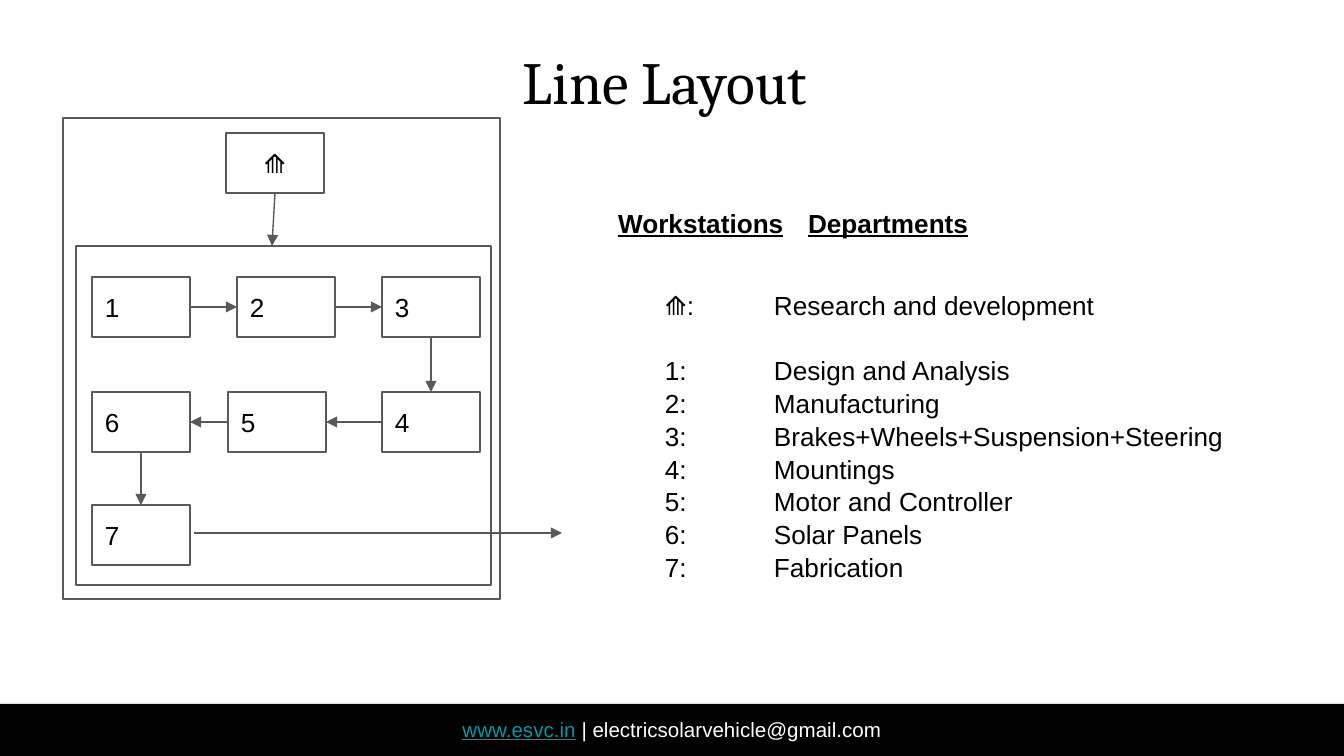
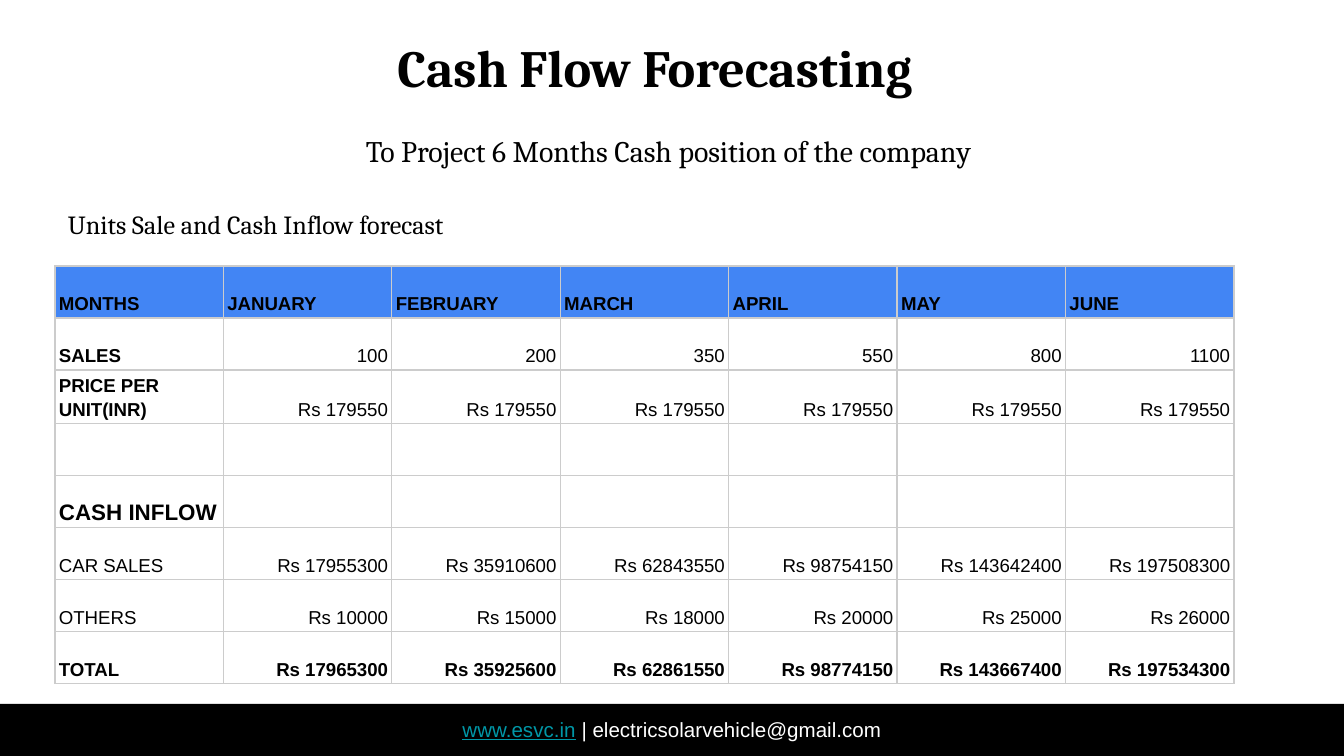
"""Build the line layout and cash flow slides of the solar vehicle deck."""
from dataclasses import dataclass

from lxml.etree import SubElement
from pptx import Presentation
from pptx.dml.color import RGBColor
from pptx.enum.shapes import MSO_CONNECTOR as Connector, MSO_SHAPE as Preset
from pptx.enum.text import MSO_ANCHOR as Anchor, MSO_AUTO_SIZE as AutoSize, PP_ALIGN as Align
from pptx.oxml.ns import qn
from pptx.util import Emu, Pt


@dataclass(frozen=True)
class Theme:
    """Colours, fonts and type sizes."""
    ink: str = "000000"
    paper: str = "FFFFFF"
    outline: str = "595959"
    grid: str = "CCCCCC"
    header: str = "4285F4"
    link: str = "0097A7"
    sans: str = "Arial"
    serif: str = "Cambria"
    title: int = 32
    title_small: int = 28
    subtitle: int = 16
    body: int = 14
    section: int = 12
    footer: int = 11
    cell: int = 10
    line: float = 0.75


THEME = Theme()
SLIDE_WIDTH, SLIDE_HEIGHT = 1344, 756
INSET = 13
FOOTER = [[
    ("www.esvc.in", {"color": THEME.link, "underline": True}),
    (" ", {}),
    ("| electricsolarvehicle@gmail.com", {"color": THEME.paper}),
]]

BOX_WIDTH, BOX_HEIGHT = 98, 60
LEFT_X, MIDDLE_X, RIGHT_X = (92 + 145 * column for column in range(3))
ROW_Y = 277, 392, 505
RESEARCH = "⟰"
STATIONS = {
    RESEARCH: (226, 133),
    "1": (LEFT_X, ROW_Y[0]),
    "2": (MIDDLE_X, ROW_Y[0]),
    "3": (RIGHT_X, ROW_Y[0]),
    "4": (RIGHT_X, ROW_Y[1]),
    "5": (228, ROW_Y[1]),
    "6": (LEFT_X, ROW_Y[1]),
    "7": (LEFT_X, ROW_Y[2]),
}
TOP, LEFT, BOTTOM, RIGHT = range(4)
FLOW = [
    ("1", RIGHT, "2", LEFT),
    ("2", RIGHT, "3", LEFT),
    ("3", BOTTOM, "4", TOP),
    ("4", LEFT, "5", RIGHT),
    ("5", LEFT, "6", RIGHT),
    ("6", BOTTOM, "7", TOP),
]
FRAMES = [(63, 118, 437, 481), (76, 246, 415, 339)]
DEPARTMENTS = [
    (RESEARCH, "Research and development"),
    ("1", "Design and Analysis"),
    ("2", "Manufacturing"),
    ("3", "Brakes+Wheels+Suspension+Steering"),
    ("4", "Mountings"),
    ("5", "Motor and Controller"),
    ("6", "Solar Panels"),
    ("7", "Fabrication"),
]
HEADINGS = [("Workstations", 605), ("Departments", 795)]

MONTHS = ["JANUARY", "FEBRUARY", "MARCH", "APRIL", "MAY", "JUNE"]
FORECAST = [
    ("MONTHS", MONTHS),
    ("SALES", [100, 200, 350, 550, 800, 1100]),
    ("PRICE PER UNIT(INR)", ["Rs 179550"] * 6),
    ("", [""] * 6),
    ("CASH INFLOW", [""] * 6),
    ("CAR SALES", ["Rs 17955300", "Rs 35910600", "Rs 62843550",
                   "Rs 98754150", "Rs 143642400", "Rs 197508300"]),
    ("OTHERS", ["Rs 10000", "Rs 15000", "Rs 18000", "Rs 20000", "Rs 25000", "Rs 26000"]),
    ("TOTAL", ["Rs 17965300", "Rs 35925600", "Rs 62861550",
               "Rs 98774150", "Rs 143667400", "Rs 197534300"]),
]
PLAIN_LABELS = {"CAR SALES", "OTHERS"}
BOLD_ROWS = {"MONTHS", "TOTAL"}
TABLE_X, TABLE_Y, TABLE_WIDTH, ROW_HEIGHT = 55, 266, 1179, 52


def px(length):
    """Turn pixels into EMU."""
    return Emu(round(length * 914400 / 134.4))


def rgb(color):
    """Turn a hex string into a colour."""
    return RGBColor.from_string(color)


def write(frame, paragraphs, *, size=THEME.body, font=THEME.sans, color=THEME.ink, bold=False,
          underline=False, align=Align.LEFT, spacing=None, tab=None):
    """Fill a text frame; each paragraph is a string or a list of (text, format) spans."""
    if isinstance(paragraphs, str):
        paragraphs = [paragraphs]
    for index, spans in enumerate(paragraphs):
        para = frame.add_paragraph() if index else frame.paragraphs[0]
        para.alignment = align
        if tab:
            stops = SubElement(para._p.get_or_add_pPr(), qn("a:tabLst"))
            SubElement(stops, qn("a:tab"), pos=str(px(tab)), algn="l")
        if spacing:
            para.line_spacing = spacing
        for text, extra in [(spans, {})] if isinstance(spans, str) else spans:
            span = para.add_run()
            span.text = text
            span.font.name = font
            span.font.size = Pt(size)
            span.font.bold = bold
            span.font.underline = extra.get("underline", underline)
            span.font.color.rgb = rgb(extra.get("color", color))


def prepare(shape, anchor=Anchor.TOP, top=INSET):
    """Set wrapping, anchor and insets, and return the text frame."""
    frame = shape.text_frame
    frame.word_wrap = True
    frame.auto_size = AutoSize.NONE
    frame.vertical_anchor = anchor
    frame.margin_left = frame.margin_right = frame.margin_bottom = px(INSET)
    frame.margin_top = px(top)
    return frame


def add_text(page, area, text, top=INSET, **style):
    """Add a text box and return its frame."""
    box = page.shapes.add_textbox(*map(px, area))
    frame = prepare(box, top=top)
    write(frame, text, **style)
    return frame


def add_box(page, area, fill=None):
    """Add an outlined or a filled rectangle."""
    box = page.shapes.add_shape(Preset.RECTANGLE, *map(px, area))
    box.shadow.inherit = False
    if fill:
        box.fill.solid()
        box.fill.fore_color.rgb = rgb(fill)
        box.line.fill.background()
    else:
        box.fill.background()
        box.line.color.rgb = rgb(THEME.outline)
        box.line.width = Pt(THEME.line)
    return box


def add_arrow(page, start=(0, 0), end=(0, 0)):
    """Add a straight arrow."""
    arrow = page.shapes.add_connector(Connector.STRAIGHT, *map(px, (*start, *end)))
    arrow.line.color.rgb = rgb(THEME.outline)
    arrow.line.width = Pt(THEME.line)
    SubElement(arrow.line._get_or_add_ln(), qn("a:tailEnd"), type="triangle")
    SubElement(arrow._element.spPr, qn("a:effectLst"))
    return arrow


def add_page(deck, title, area, **style):
    """Add a title-only slide with its title in place."""
    page = deck.slides.add_slide(deck.slide_layouts[5])
    holder = page.shapes.title
    holder.left, holder.top, holder.width, holder.height = map(px, area)
    write(prepare(holder), title, font=THEME.serif, align=Align.CENTER, **style)
    return page


def add_footer(deck, page):
    """Draw the footer band and place it on the shared layout."""
    band = add_box(page, (0, 704, SLIDE_WIDTH, 52), THEME.ink)
    write(prepare(band), FOOTER, size=THEME.footer, align=Align.CENTER)
    page.slide_layout.shapes._spTree.append(band._element)


def add_line_layout(deck):
    """Build the workstation flow and its legend."""
    page = add_page(deck, "Line Layout ", (132, 32, 1079, 99), size=THEME.title)
    for area in FRAMES:
        add_box(page, area)
    boxes = {}
    for name, place in STATIONS.items():
        boxes[name] = add_box(page, (*place, BOX_WIDTH, BOX_HEIGHT))
        write(prepare(boxes[name], Anchor.MIDDLE), name,
              align=Align.CENTER if name == RESEARCH else Align.LEFT)
    for source, source_side, target, target_side in FLOW:
        arrow = add_arrow(page)
        arrow.begin_connect(boxes[source], source_side)
        arrow.end_connect(boxes[target], target_side)
    add_arrow(page, (275, 193), (272, 246)).begin_connect(boxes[RESEARCH], BOTTOM)
    add_arrow(page, (194, 533), (562, 533))
    for heading, left in HEADINGS:
        add_text(page, (left, 194, 259, 59), heading, bold=True, underline=True)
    lines = [f"{name}:\t{department}" for name, department in DEPARTMENTS]
    legend = add_text(page, (652, 212, 692, 407), lines, top=76, spacing=1.05, tab=109)
    legend.paragraphs[0].space_after = Pt(17)
    return page


def style_cell(cell, fill):
    """Set the fill, insets, anchor and borders of a cell."""
    cell.vertical_anchor = Anchor.BOTTOM
    cell.margin_left = cell.margin_right = px(4)
    cell.margin_top = cell.margin_bottom = px(3)
    properties = cell._tc.get_or_add_tcPr()
    for side in ("lnL", "lnR", "lnT", "lnB"):
        border = SubElement(properties, qn(f"a:{side}"), w=str(Pt(THEME.line)))
        SubElement(SubElement(border, qn("a:solidFill")), qn("a:srgbClr"), val=THEME.grid)
    if fill:
        cell.fill.solid()
        cell.fill.fore_color.rgb = rgb(fill)
    else:
        cell.fill.background()


def add_forecast(page):
    """Add the six-month forecast table."""
    rows, columns = len(FORECAST), len(MONTHS) + 1
    area = TABLE_X, TABLE_Y, TABLE_WIDTH, ROW_HEIGHT * rows
    table = page.shapes.add_table(rows, columns, *map(px, area)).table
    for column in table.columns:
        column.width = px(TABLE_WIDTH / columns)
    for row, (label, values) in enumerate(FORECAST):
        for column, value in enumerate([label, *values]):
            cell = table.cell(row, column)
            style_cell(cell, None if row else THEME.header)
            if value == "":
                continue
            is_label = column == 0
            write(cell.text_frame, str(value), spacing=1.15,
                  size=THEME.section if value == "CASH INFLOW" else THEME.cell,
                  bold=label in BOLD_ROWS or (is_label and label not in PLAIN_LABELS),
                  align=Align.RIGHT if row and not is_label else Align.LEFT)


def add_cash_flow(deck):
    """Build the cash flow slide."""
    page = add_page(deck, "Cash Flow Forecasting ", (121, 22, 1079, 90),
                    size=THEME.title_small, bold=True)
    add_forecast(page)
    add_text(page, (55, 195, 1079, 59), "Units Sale and Cash Inflow forecast", font=THEME.serif)
    add_text(page, (133, 120, 1078, 63), "To Project 6 Months Cash position of the company ",
             font=THEME.serif, size=THEME.subtitle, align=Align.CENTER)


def main():
    """Build and save the deck."""
    deck = Presentation()
    deck.slide_width, deck.slide_height = px(SLIDE_WIDTH), px(SLIDE_HEIGHT)
    add_footer(deck, add_line_layout(deck))
    add_cash_flow(deck)
    deck.save("out.pptx")


if __name__ == "__main__":
    main()
